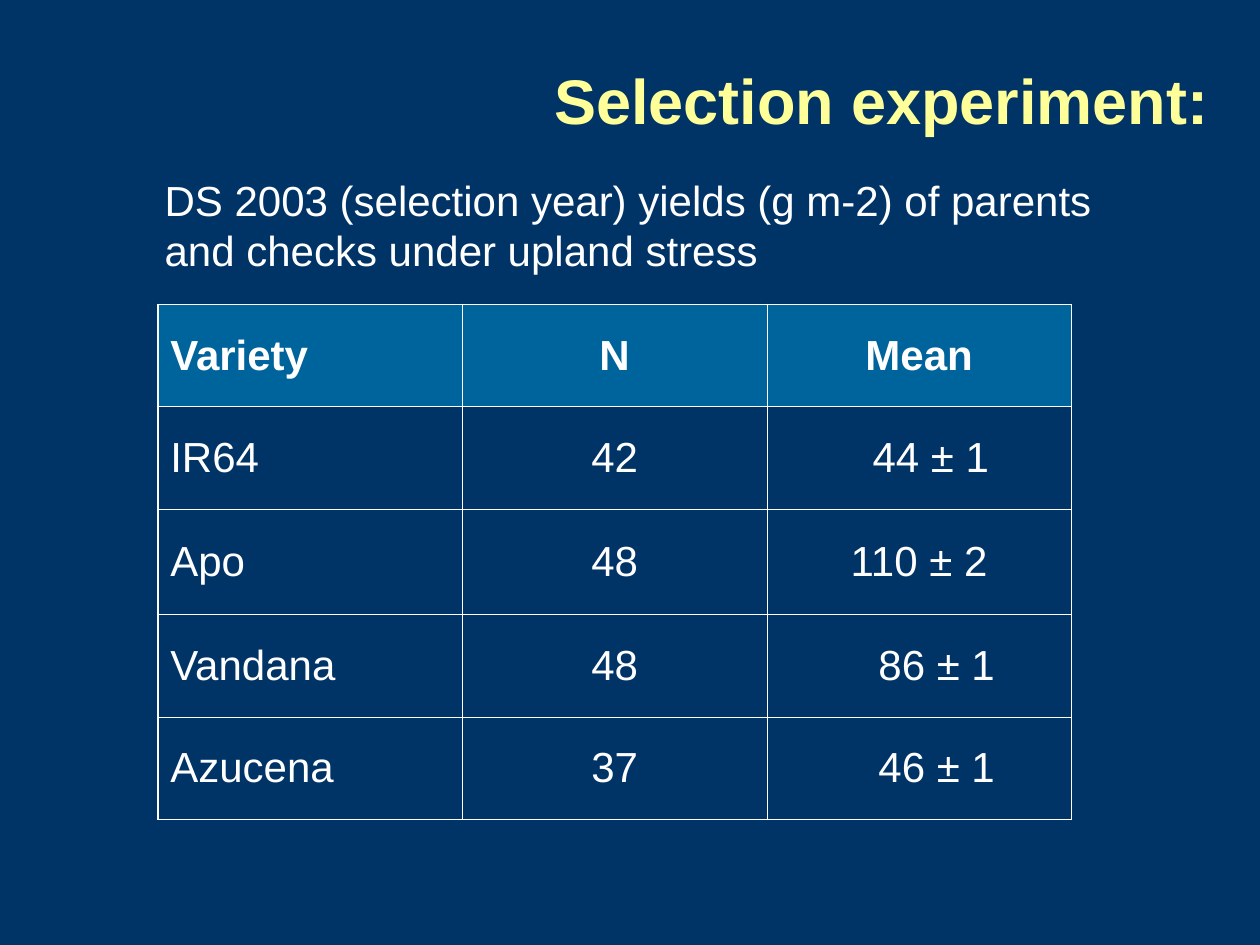
from lxml.etree import SubElement as Sub
from pptx import Presentation
from pptx.dml.color import RGBColor as Rgb
from pptx.enum.text import MSO_ANCHOR as Anchor, PP_ALIGN as Align
from pptx.oxml.ns import qn
from pptx.util import Cm, Pt

TITLE = "Selection experiment:"
LEAD = ("DS 2003 (selection year) yields (g m-2) of parents "
        "and checks under upland stress")
HEAD = ("Variety", "N", "Mean")
ROWS = [  # variety, n, mean, extra left inset of the mean in cm
    ("IR64", "42", "44 ± 1", 0.47),
    ("Apo", "48", "110 ± 2", 0),
    ("Vandana", "48", "86 ± 1", 0.71),
    ("Azucena", "37", "46 ± 1", 0.71),
]
HIGH = (2.06, 2.06, 2.13, 2.07, 2.06)
WIDE = 6.14
INSET = 0.25
THEME = dict(font="Arial", back="003366", head="00649C", title="FFFF99",
             text="FFFFFF", big=36, size=24, outer=1.08, inner=0.45)


def write(frame, text, size=THEME["size"], color=THEME["text"],
          bold=False, align=Align.LEFT):
    para = frame.paragraphs[0]
    para.alignment = align
    run = para.add_run()
    run.text = text
    font = run.font
    font.name, font.size, font.bold = THEME["font"], Pt(size), bold
    font.color.rgb = Rgb.from_string(color)


def add_box(slide, place, text, left=INSET, right=INSET,
            anchor=Anchor.TOP, **style):
    frame = slide.shapes.add_textbox(*map(Cm, place)).text_frame
    frame.word_wrap = True
    frame.vertical_anchor = anchor
    frame.margin_left, frame.margin_right = Cm(left), Cm(right)
    write(frame, text, **style)


def edge(cell, outer):
    """Rule all four sides; outer holds the sides on the table's rim."""
    props = cell._tc.get_or_add_tcPr()
    for side in "LRTB":
        wide = THEME["outer" if side in outer else "inner"]
        line = Sub(props, qn("a:ln" + side), w=str(Pt(wide)))
        fill = Sub(line, qn("a:solidFill"))
        Sub(fill, qn("a:srgbClr"), val=THEME["text"])


def add_grid(slide):
    data = [(*HEAD, 0), *ROWS]
    rows, cols = len(data), len(HEAD)
    table = slide.shapes.add_table(
        rows, cols, Cm(3.18), Cm(6.14), Cm(WIDE * cols), Cm(sum(HIGH))).table
    table.horz_banding = False
    for col in table.columns:
        col.width = Cm(WIDE)
    for r, (*texts, pad) in enumerate(data):
        table.rows[r].height = Cm(HIGH[r])
        for c, text in enumerate(texts):
            cell = table.cell(r, c)
            cell.vertical_anchor = Anchor.MIDDLE
            rim = {"L": c == 0, "R": c == cols - 1,
                   "T": r == 0, "B": r == rows - 1}
            edge(cell, [side for side, on in rim.items() if on])
            if r == 0:
                cell.fill.solid()
                cell.fill.fore_color.rgb = Rgb.from_string(THEME["head"])
            else:
                cell.fill.background()
            if c == cols - 1:
                cell.margin_left = Cm(INSET + pad)
            write(cell.text_frame, text, bold=r == 0,
                  align=Align.CENTER if c else Align.LEFT)


def main():
    deck = Presentation()
    deck.slide_width, deck.slide_height = Cm(25.4), Cm(19.05)
    slide = deck.slides.add_slide(deck.slide_layouts[6])
    back = slide.background.fill
    back.solid()
    back.fore_color.rgb = Rgb.from_string(THEME["back"])
    add_grid(slide)
    add_box(slide, (6.56, 0.42, 18.42, 3.18), TITLE, right=0.61,
            anchor=Anchor.MIDDLE, size=THEME["big"], color=THEME["title"],
            bold=True, align=Align.RIGHT)
    add_box(slide, (2.12, 3.39, 21.59, 2.33), LEAD, left=1.2)
    deck.save("out.pptx")


if __name__ == "__main__":
    main()
